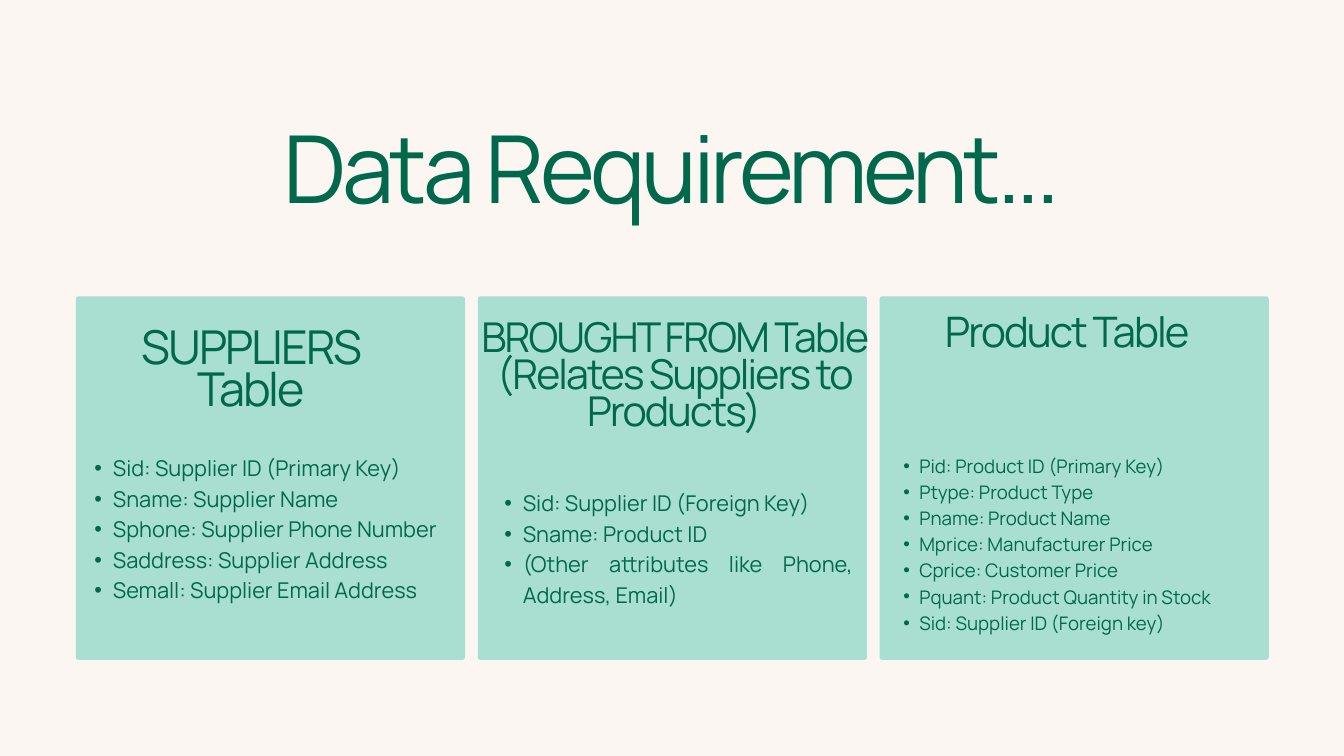
"""Build the data requirement slide with its three table cards."""
from lxml.etree import SubElement
from pptx import Presentation
from pptx.dml.color import RGBColor
from pptx.enum.shapes import MSO_SHAPE as Form
from pptx.enum.text import MSO_ANCHOR as Anchor, MSO_AUTO_SIZE as Fit, PP_ALIGN as Align
from pptx.oxml.ns import qn
from pptx.util import Inches, Pt

CREAM = RGBColor(0xFB, 0xF6, 0xF1)
MINT = RGBColor(0xA9, 0xDF, 0xD0)
GREEN = RGBColor(0x00, 0x69, 0x4C)

LEFT, TOP, WIDE, HIGH, STEP = 1.13, 4.41, 5.79, 5.41, 5.98

HEADS = [
    ("SUPPLIERS Table", (1.41, 4.94, 4.65, 1.32), dict(size=50, lead=45, track=-2.3)),
    ("BROUGHT FROM Table (Relates Suppliers to Products)",
     (6.98, 4.82, 6.11, 1.67), dict(size=44, lead=39.6, track=-2)),
    ("Product Table", (13.27, 4.73, 5.22, 0.58), dict(size=45, lead=40.5, track=-2.1)),
]

LISTS = [
    (["Sid: Supplier ID (Primary Key)", "Sname: Supplier Name",
      "Sphone: Supplier Phone Number", "Saddress: Supplier Address",
      "Semall: Supplier Email Address"],
     (1.13, 6.71, 5.79, 2.69), dict(size=23.3, lead=32.6, indent=0.55)),
    (["Sid: Supplier ID (Foreign Key)", "Sname: Product ID",
      "(Other attributes like Phone, Address, Email)"],
     (7.23, 7.23, 5.46, 2.66), dict(size=23.3, lead=32.6, indent=0.55)),
    (["Pid: Product ID (Primary Key)", "Ptype: Product Type",
      "Pname: Product Name", "Mprice: Manufacturer Price",
      "Cprice: Customer Price", "Pquant: Product Quantity in Stock",
      "Sid: Supplier ID (Foreign key)"],
     (13.21, 6.71, 5.01, 3.15), dict(size=20, lead=28, indent=0.47)),
]


def write(para, text, size, lead, track=0, indent=0, align=Align.CENTER):
    if indent:
        props = para._p.get_or_add_pPr()
        props.set("marL", str(Inches(indent)))
        props.set("indent", str(-Inches(indent / 2)))
        SubElement(props, qn("a:buFont"), typeface="Arial")
        SubElement(props, qn("a:buChar"), char="•")
    para.alignment = align
    para.line_spacing = Pt(lead)
    para.space_before = para.space_after = Pt(0)
    run = para.add_run()
    run.text = text
    font = run.font
    font.name, font.size, font.bold = "Manrope", Pt(size), False
    font.color.rgb = GREEN
    if track:
        run._r.get_or_add_rPr().set("spc", str(round(track * 100)))


class Deck:
    def __init__(self):
        self.prs = Presentation()
        self.prs.slide_width, self.prs.slide_height = Inches(20), Inches(11.25)
        self.slide = self.prs.slides.add_slide(self.prs.slide_layouts[4])
        fill = self.slide.background.fill
        fill.solid()
        fill.fore_color.rgb = CREAM
        self.spots = {s.placeholder_format.idx: s for s in self.slide.placeholders}

    def card(self, left):
        box = self.slide.shapes.add_shape(
            Form.ROUNDED_RECTANGLE, *map(Inches, (left, TOP, WIDE, HIGH)))
        box.adjustments[0] = 0.04 / HIGH
        box.shadow.inherit = False
        box.fill.solid()
        box.fill.fore_color.rgb = MINT
        box.line.fill.background()
        self.slide.shapes.element.insert(2, box.element)

    def frame(self, spot, area):
        place = [Inches(n) for n in area]
        box = self.spots.get(spot) or self.slide.shapes.add_textbox(*place)
        box.left, box.top, box.width, box.height = place
        frame = box.text_frame
        frame.auto_size = Fit.NONE
        frame.word_wrap = True
        frame.vertical_anchor = Anchor.TOP
        frame.margin_left = frame.margin_right = 0
        frame.margin_top = frame.margin_bottom = 0
        return frame

    def head(self, spot, text, area, **style):
        write(self.frame(spot, area).paragraphs[0], text, **style)

    def items(self, spot, lines, area, **style):
        frame = self.frame(spot, area)
        for i, line in enumerate(lines):
            para = frame.add_paragraph() if i else frame.paragraphs[0]
            write(para, line, align=Align.JUSTIFY, **style)


def main():
    deck = Deck()
    deck.head(0, "Data Requirement...", (2.42, 2.05, 15.15, 1.37),
              size=100.4, lead=90.4, track=-4.6)
    for i, (head, body) in enumerate(zip(HEADS, LISTS)):
        deck.card(LEFT + i * STEP)
        text, area, style = head
        deck.head(2 * i + 1, text, area, **style)
        lines, area, style = body
        deck.items(2 * i + 2, lines, area, **style)
    deck.prs.save("out.pptx")


if __name__ == "__main__":
    main()
